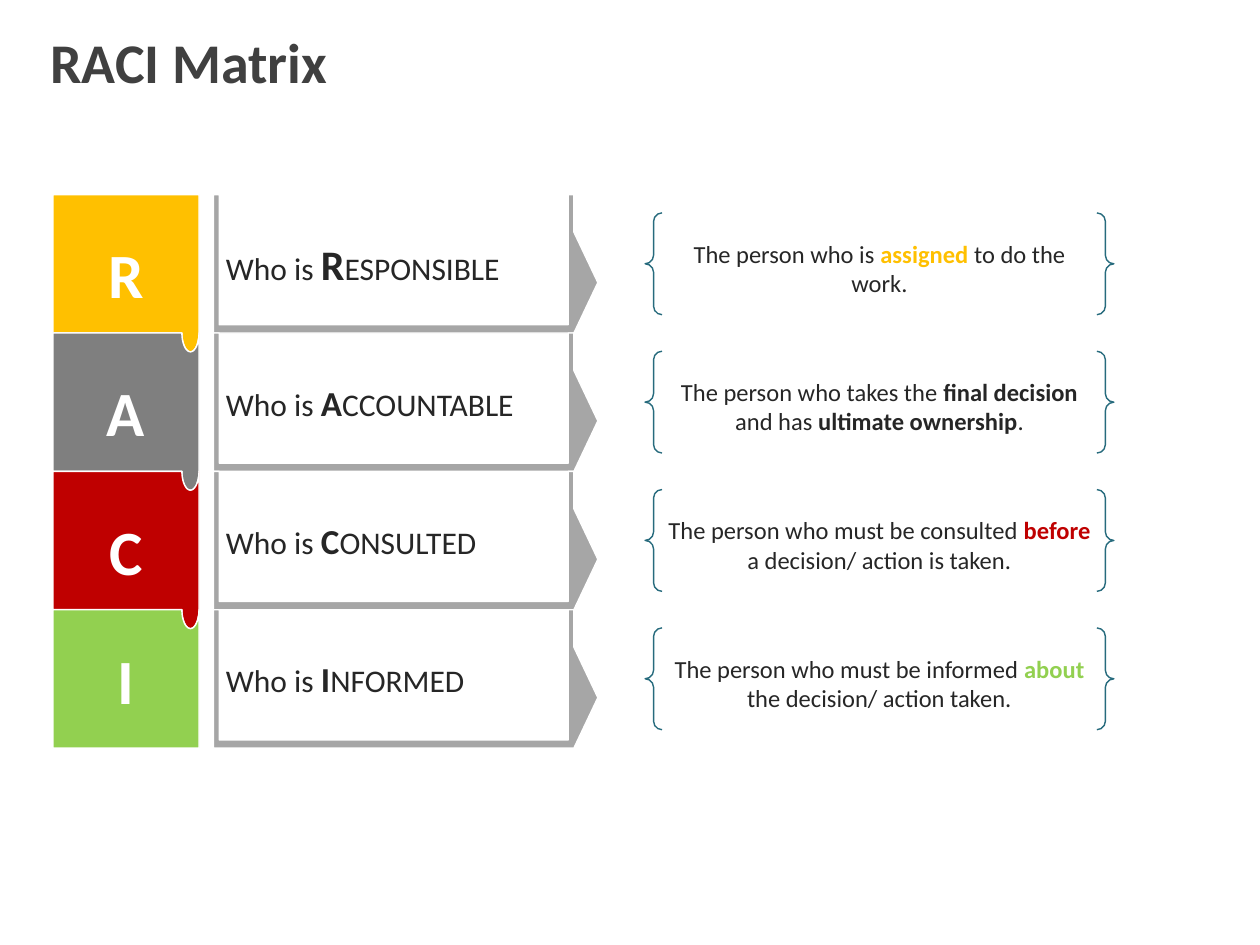
from math import cos, pi, sin

from pptx import Presentation
from pptx.dml.color import RGBColor
from pptx.enum.shapes import MSO_SHAPE
from pptx.enum.text import MSO_ANCHOR, PP_ALIGN
from pptx.util import Inches, Pt

COLS, ROWS = 100, 75
CELL = Inches(0.1)
COLORS = {"title": "404040", "text": "262626", "white": "FFFFFF", "frame": "A6A6A6",
          "brace": "276B7D", "R": "FFC000", "A": "7F7F7F", "C": "BF0000", "I": "92D050"}
ROLES = [
    ("R", "ESPONSIBLE", 24, [("The person who is ",), ("assigned", "R"), (" to do the work.",)]),
    ("A", "CCOUNTABLE", 20, [("The person who takes the ",), ("final decision", "text"),
                             (" and has ",), ("ultimate ownership", "text"), (".",)]),
    ("C", "ONSULTED", 20, [("The person who must be consulted ",), ("before", "C"),
                           (" a decision/ action is taken.",)]),
    ("I", "NFORMED", 20, [("The person who must be informed ",), ("about ", "I"),
                          ("the decision/ action taken.",)]),
]


def grid(*cells):
    """Convert grid cells to EMU."""
    return [round(c * CELL) for c in cells]


def write(sp, runs, align=PP_ALIGN.CENTER, inset=1):
    """Write (text, size, color, bold) runs as one paragraph."""
    tf = sp.text_frame
    side = round(inset * CELL)
    for name, value in dict(word_wrap=True, vertical_anchor=MSO_ANCHOR.MIDDLE,
                            margin_left=side, margin_right=side,
                            margin_top=side // 2, margin_bottom=side // 2).items():
        setattr(tf, name, value)
    p = tf.paragraphs[0]
    p.alignment = align
    for text, size, color, bold in runs:
        r = p.add_run()
        r.text = text
        for name, value in dict(name="Calibri", size=Pt(size), bold=bold).items():
            setattr(r.font, name, value)
        r.font.color.rgb = RGBColor.from_string(COLORS[color])
    return p


def style(sp, line, fill=None):
    """Set outline and fill, and drop the shadow."""
    sp.shadow.inherit = False
    sp.line.color.rgb = RGBColor.from_string(COLORS[line])
    sp.line.width = Pt(0.79)
    if fill:
        sp.fill.solid()
        sp.fill.fore_color.rgb = RGBColor.from_string(COLORS[fill])
    else:
        sp.fill.background()


def outline(s, points, fill):
    """Draw a closed outline through points in grid cells."""
    start, *rest = [grid(*pt) for pt in points]
    fb = s.shapes.build_freeform(*start)
    fb.add_line_segments(rest, close=True)
    sp = fb.convert_to_shape()
    style(sp, "white", fill)
    return sp


def tab(right, y):
    """Return the points of a hanging tab, from left to right."""
    rx, depth, steps = 0.68, 1.5, 24
    return [(right - rx - rx * cos(pi * i / steps), y + depth * sin(pi * i / steps))
            for i in range(steps + 1)]


def add_title(s, x, y, w, h):
    """Place the slide title."""
    sp = s.shapes.title
    sp.left, sp.top, sp.width, sp.height = grid(x, y, w, h)
    p = write(sp, [("RACI Matrix", 32, "title", True)], PP_ALIGN.LEFT, 0)
    p.line_spacing = 0.9


def add_letter(s, letter, x, y, w, h, first, last):
    """Draw a letter tile that interlocks with its neighbours."""
    top = [(x + w, y)] if first else tab(x + w, y)
    bottom = [(x + w, y + h)] if last else tab(x + w, y + h)[::-1]
    sp = outline(s, [(x, y), *top, *bottom, (x, y + h)], letter)
    write(sp, [(letter, 36, "white", True)])


def add_question(s, letter, rest, size, x, y, w, h):
    """Draw an open frame with an arrow on its right side."""
    wall, floor, tip = 0.45, 0.65, 1.9
    right, base = x + w - tip, y + h
    sp = outline(s, [(x, y), (x + wall, y), (x + wall, base - floor),
                     (right - wall, base - floor), (right - wall, y), (right, y),
                     (right, base - 8), (x + w, base - 4), (right, base), (x, base)], "frame")
    write(sp, [("Who is ", 18, "text", False), (letter, size, "text", True),
               (rest, 18, "text", False)], PP_ALIGN.LEFT)


def add_meaning(s, parts, x, y, w, h):
    """Draw a brace pair around a definition."""
    sp = s.shapes.add_shape(MSO_SHAPE.DOUBLE_BRACE, *grid(x, y, w, h))
    style(sp, "brace")
    write(sp, [(text, 14, accent[0] if accent else "text", bool(accent))
               for text, *accent in parts], inset=0.9)


def add_role(s, i, role, x, y, w, h):
    """Place one matrix row in its box."""
    letter, rest, size, parts = role
    add_letter(s, letter, x, y, 11.6, h, i == 0, i == len(ROLES) - 1)
    add_question(s, letter, rest, size, x + 12.75, y, 30.5, h)
    add_meaning(s, parts, x + w - 37.2, y + 1.45, 37.2, h - 2.9)


def main():
    """Build and save the slide."""
    prs = Presentation()
    prs.slide_width, prs.slide_height = grid(COLS, ROWS)
    s = prs.slides.add_slide(prs.slide_layouts[5])
    add_title(s, 4, 2.8, COLS - 8, 4.8)
    row_h = 10.98
    for i, role in enumerate(ROLES):
        add_role(s, i, role, 4.2, 15.45 + i * row_h, 84.2, row_h)
    prs.save("out.pptx")


if __name__ == "__main__":
    main()
